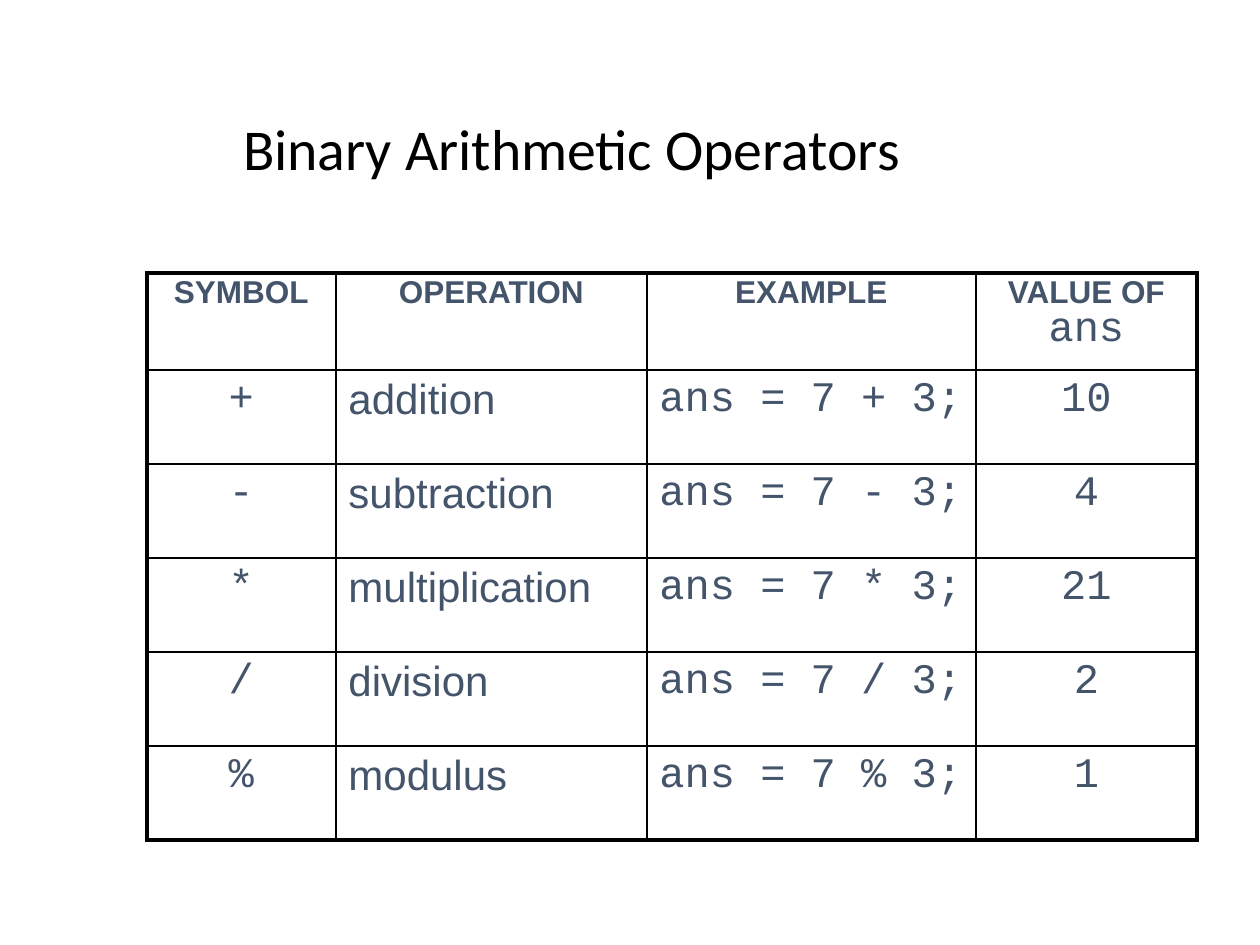
from lxml.etree import SubElement
from pptx import Presentation
from pptx.dml.color import RGBColor
from pptx.enum.text import MSO_ANCHOR as Anchor, PP_ALIGN as Align
from pptx.oxml.ns import qn
from pptx.util import Cm, Pt

BLACK, SLATE = "000000", "44546A"
SANS, CODE = "Arial", "Courier New"


def colour(hex_code):
    return RGBColor.from_string(hex_code)


def add_text(paragraph, text, font=SANS, size=24, color=SLATE, bold=False):
    run = paragraph.add_run()
    run.text = text
    run.font.name = font
    run.font.size = Pt(size)
    run.font.bold = bold
    run.font.color.rgb = colour(color)


class SlideBuilder:
    thin, thick = 1, 2.25

    def __init__(self, slide):
        self.slide = slide

    def title(self, text, left, top, width, height):
        frame = self.slide.shapes.add_textbox(
            Cm(left), Cm(top), Cm(width), Cm(height)).text_frame
        frame.word_wrap = True
        frame.vertical_anchor = Anchor.MIDDLE
        heading = frame.paragraphs[0]
        heading.line_spacing = 0.9
        add_text(heading, text, font="Calibri", size=33, color=BLACK)

    def border(self, cell, side, width):
        line = SubElement(cell._tc.get_or_add_tcPr(), qn(f"a:{side}"),
                          w=str(Pt(width)))
        fill = SubElement(line, qn("a:solidFill"))
        SubElement(fill, qn("a:srgbClr"), val=BLACK)

    def table(self, left, top, widths, heights):
        grid = self.slide.shapes.add_table(
            len(heights), len(widths), Cm(left), Cm(top),
            Cm(sum(widths)), Cm(sum(heights))).table
        grid.first_row = grid.horz_banding = False
        for column, width in zip(grid.columns, widths):
            column.width = Cm(width)
        for row, height in zip(grid.rows, heights):
            row.height = Cm(height)

        # Thick frame outside, thin rules inside
        last_row, last_column = len(heights) - 1, len(widths) - 1
        for r, row in enumerate(grid.rows):
            for c, cell in enumerate(row.cells):
                on_edge = {"lnL": c == 0, "lnR": c == last_column,
                           "lnT": r == 0, "lnB": r == last_row}
                for side, outer in on_edge.items():
                    self.border(cell, side, self.thick if outer else self.thin)
                cell.fill.background()
        return grid


def main():
    deck = Presentation()
    deck.slide_width, deck.slide_height = Cm(25.4), Cm(19.05)
    builder = SlideBuilder(deck.slides.add_slide(deck.slide_layouts[6]))

    builder.title("Binary Arithmetic Operators", 4.65, 1.27, 19.48, 3.6)

    # Operators: symbol, operation, value of ans
    operators = [
        ("+", "addition", "10"),
        ("-", "subtraction", "4"),
        ("*", "multiplication", "21"),
        ("/", "division", "2"),
        ("%", "modulus", "1"),
    ]
    grid = builder.table(2.96, 5.5, [3.81, 6.27, 6.63, 4.46],
                         [1.96] + [1.895] * len(operators))

    # Header row
    headings = ["SYMBOL", "OPERATION", "EXAMPLE", "VALUE OF "]
    for c, heading in enumerate(headings):
        paragraph = grid.cell(0, c).text_frame.paragraphs[0]
        paragraph.alignment = Align.CENTER
        paragraph.line_spacing = 0.85
        add_text(paragraph, heading, size=18, bold=True)
    add_text(paragraph, "ans", font=CODE)

    # Operator rows
    fonts = [CODE, SANS, CODE, CODE]
    alignments = [Align.CENTER, Align.LEFT, Align.LEFT, Align.CENTER]
    for r, (symbol, operation, value) in enumerate(operators, start=1):
        entries = [symbol, operation, f"ans = 7 {symbol} 3;", value]
        for c, entry in enumerate(entries):
            paragraph = grid.cell(r, c).text_frame.paragraphs[0]
            paragraph.alignment = alignments[c]
            add_text(paragraph, entry, font=fonts[c])

    deck.save("out.pptx")


if __name__ == "__main__":
    main()
